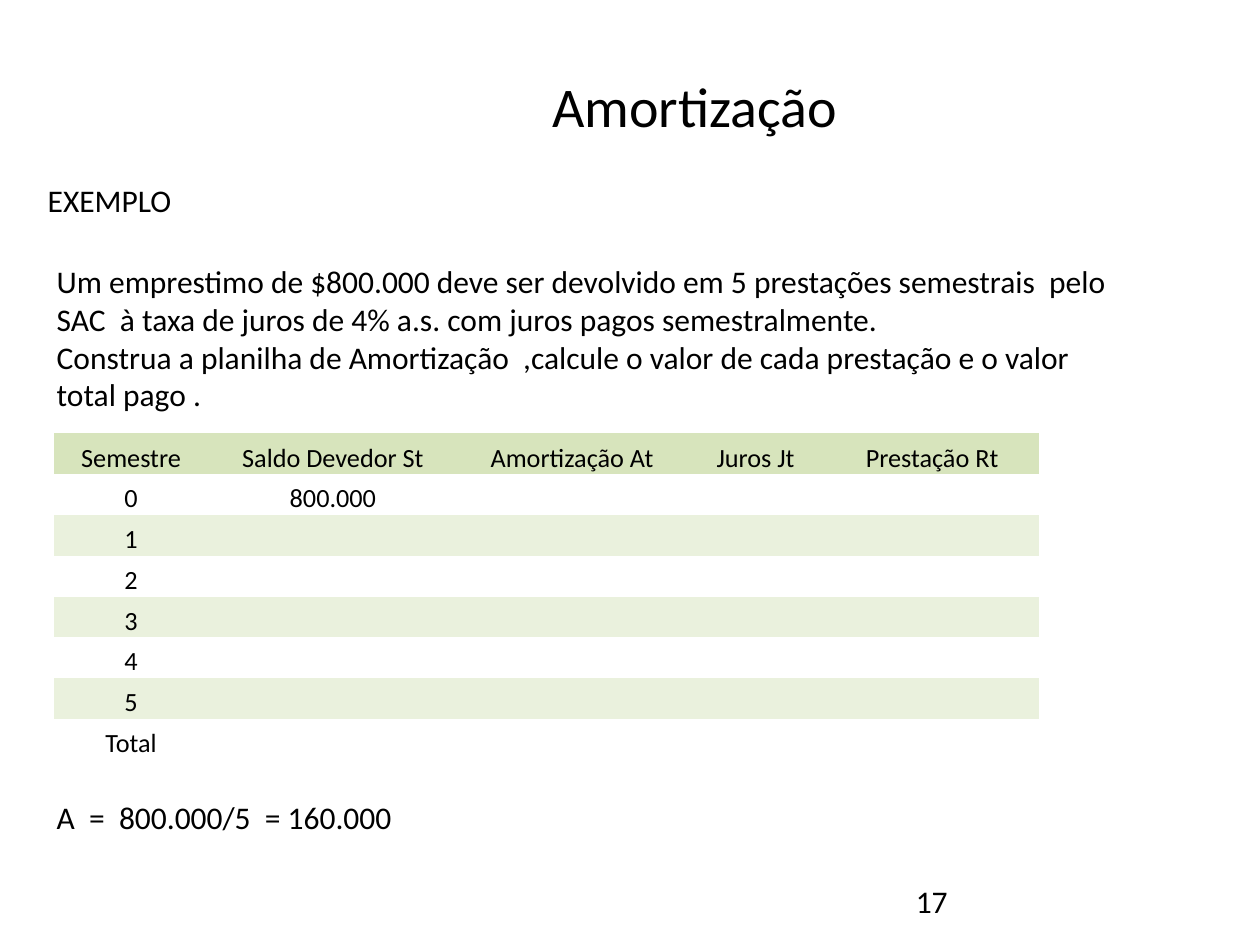
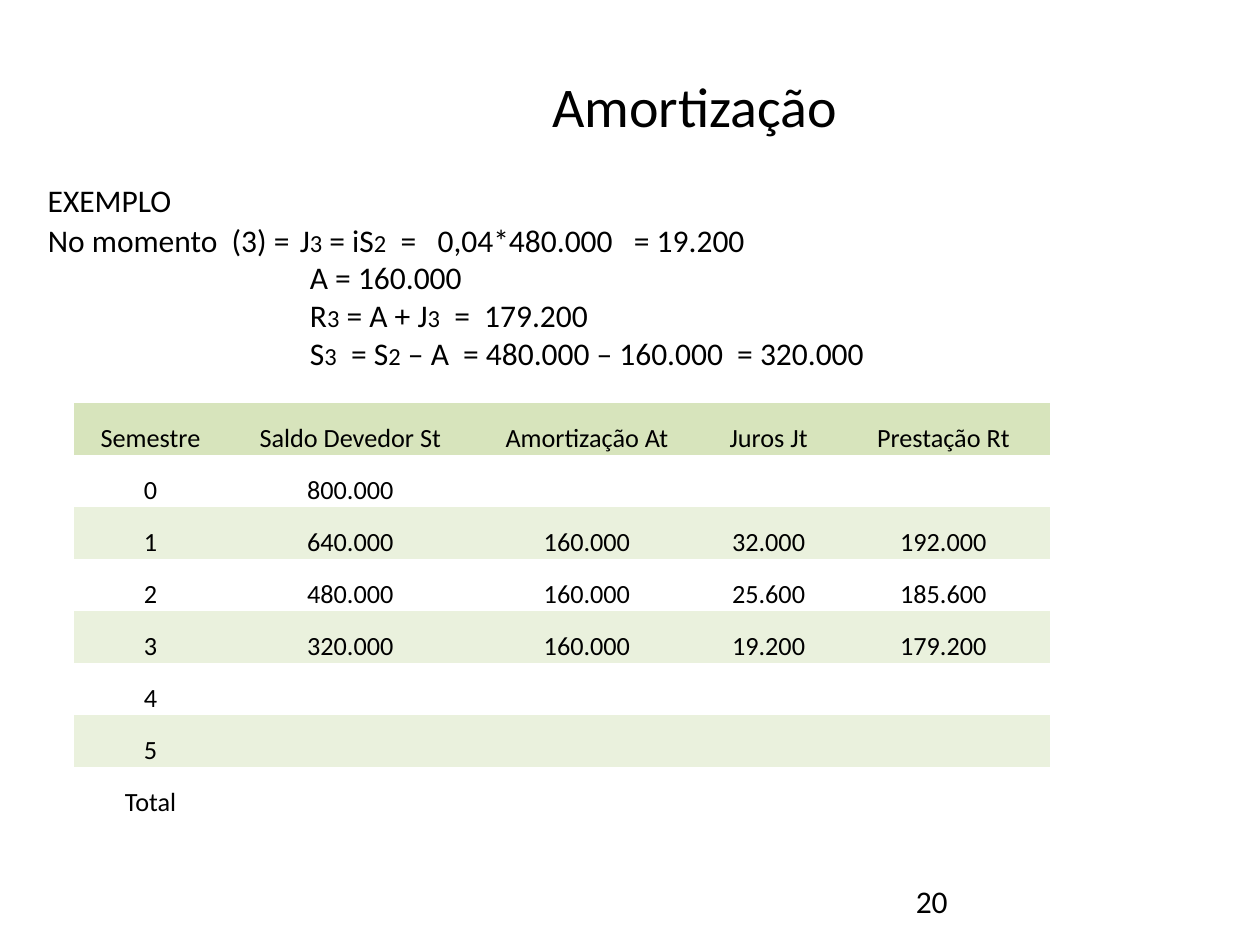
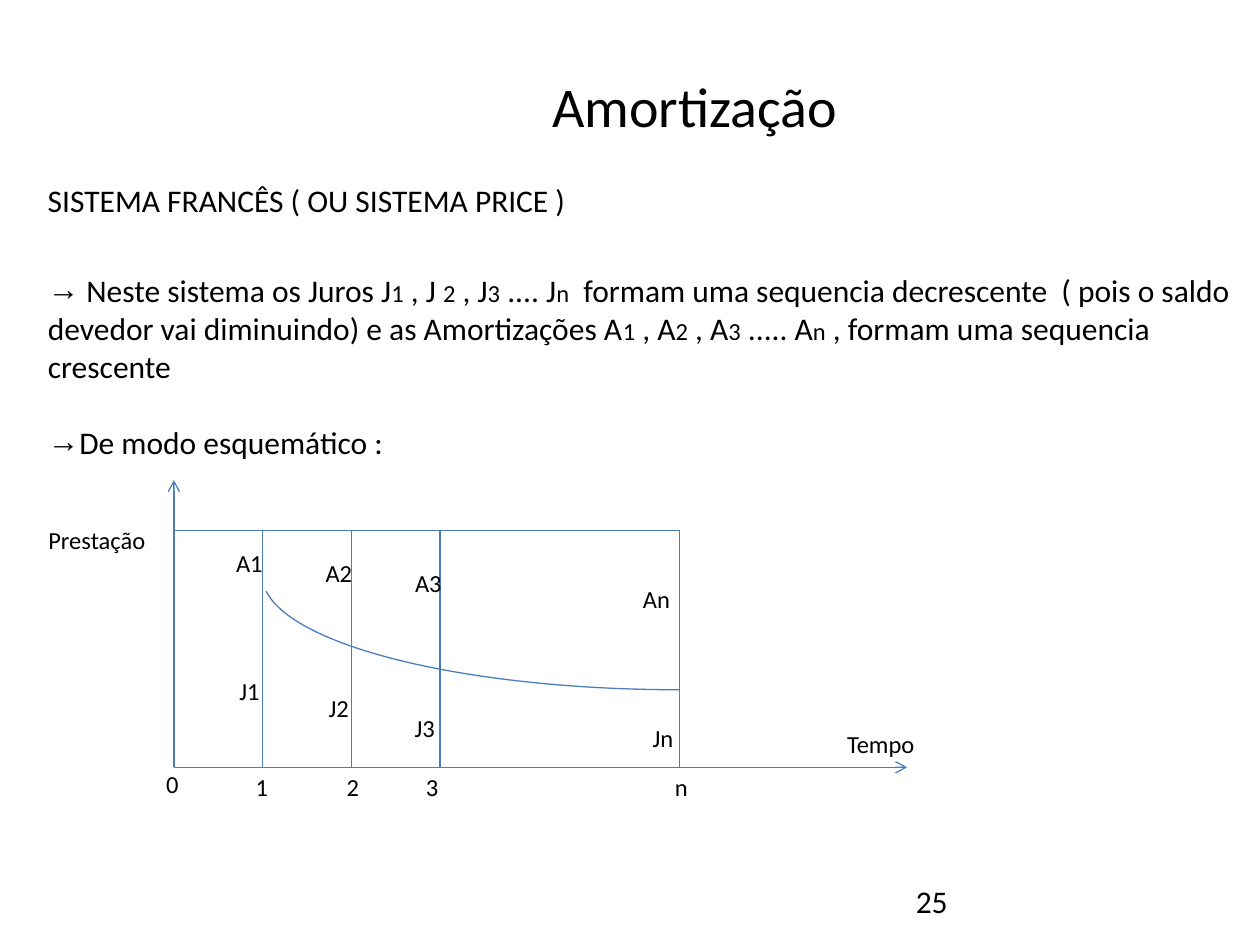
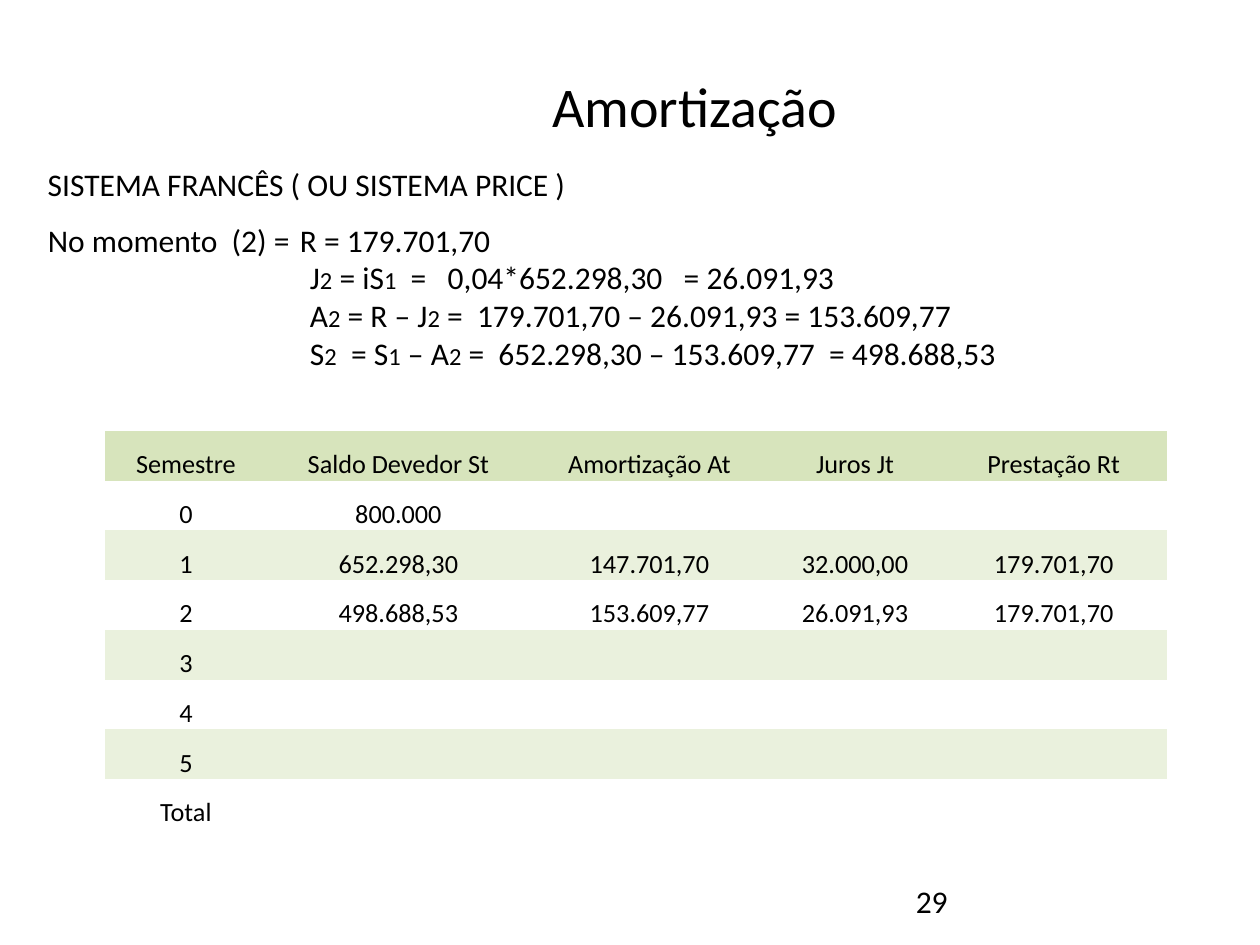
from dataclasses import dataclass

import pptx
import pptx.dml.color
import pptx.enum.shapes
import pptx.enum.text
import pptx.oxml.ns
import pptx.util
from lxml import etree

qn = pptx.oxml.ns.qn
PP_ALIGN = pptx.enum.text.PP_ALIGN
ANCHOR = pptx.enum.text.MSO_ANCHOR

COL = pptx.util.Inches(0.1)
ROW = pptx.util.Inches(0.1)


@dataclass(frozen=True)
class Theme:
    font: str = "Calibri"
    text: str = "000000"
    line: str = "4B7EBC"
    header: str = "D7E4BC"
    band: str = "EAF1DD"
    title_size: int = 32
    body_size: int = 18
    table_size: int = 15
    small_size: int = 14
    line_width: float = 0.75
    blank_line: int = 22


@dataclass(frozen=True)
class Box:
    col: float
    row: float
    cols: float
    rows: float

    def emu(self):
        return (round(self.col * COL), round(self.row * ROW),
                round(self.cols * COL), round(self.rows * ROW))

    def point(self, x, y):
        return (round((self.col + x * self.cols) * COL),
                round((self.row + y * self.rows) * ROW))


THEME = Theme()
TITLE_BOX = Box(9.1, 5.2, 92.1, 8.7)
HEADING_BOX = Box(2.8, 13.9, 96.1, 7.1)
HIGH_HEADING_BOX = Box(2.8, 12.6, 96.1, 13.1)
EQUATIONS_BOX = Box(2.8, 17, 96.1, 16.2)
NUMBER_BOX = Box(71.7, 69.5, 23.3, 4)
EQUATION_INDENT = round(20.8 * COL)

FRENCH = "SISTEMA FRANCÊS ( OU SISTEMA PRICE )"
HEADERS = ["Semestre", "Saldo Devedor St", "Amortização At", "Juros Jt", "Prestação Rt"]
SEMESTERS = ["0", "1", "2", "3", "4", "5", "Total"]
SAC_COLUMNS = [1.22, 1.98, 1.81, 1.1, 1.7]
PRICE_COLUMNS = [1.29, 2.08, 1.9, 1.36, 1.79]


def rgb(value):
    return pptx.dml.color.RGBColor.from_string(value)


def add_run(p, text, size):
    r = p.add_run()
    r.text = text
    r.font.name = THEME.font
    r.font.size = pptx.util.Pt(size)
    r.font.color.rgb = rgb(THEME.text)


def add_indexed_runs(p, text):
    first, *rest = text.split("_")
    add_run(p, first, THEME.body_size)
    for piece in rest:
        add_run(p, piece[0], THEME.small_size)
        if piece[1:]:
            add_run(p, piece[1:], THEME.body_size)


def place(sp, box):
    sp.left, sp.top, sp.width, sp.height = box.emu()
    tf = sp.text_frame
    tf.word_wrap = True
    tf.auto_size = pptx.enum.text.MSO_AUTO_SIZE.NONE
    tf.vertical_anchor = ANCHOR.TOP
    return tf


def add_text(shapes, box, text, size, align=PP_ALIGN.LEFT, wrap=True):
    sp = shapes.add_textbox(*box.emu())
    tf = place(sp, box)
    tf.word_wrap = wrap
    p = tf.paragraphs[0]
    p.alignment = align
    add_run(p, text, size)


def fill_body(slide, box, lines, gaps=None, bullet=None, indent=0):
    tf = place(slide.placeholders[1], box)
    for i, line in enumerate(lines):
        p = tf.paragraphs[0] if i == 0 else tf.add_paragraph()
        pPr = p._p.get_or_add_pPr()
        pPr.set("marL", str(indent if i else 0))
        pPr.set("indent", "0")
        if bullet:
            etree.SubElement(pPr, qn("a:buChar"), char=bullet)
        else:
            etree.SubElement(pPr, qn("a:buNone"))
        if indent and i == 0:
            tabs = etree.SubElement(pPr, qn("a:tabLst"))
            etree.SubElement(tabs, qn("a:tab"), pos=str(indent), algn="l")
        p.space_before = pptx.util.Pt((gaps or {}).get(i, 0) * THEME.blank_line)
        add_indexed_runs(p, line)


def start_slide(prs, number, heading, heading_box=HEADING_BOX):
    slide = prs.slides.add_slide(prs.slide_layouts[1])
    tf = place(slide.shapes.title, TITLE_BOX)
    p = tf.paragraphs[0]
    p.alignment = PP_ALIGN.CENTER
    add_run(p, "Amortização", THEME.title_size)
    add_text(slide.shapes, heading_box, heading, THEME.body_size)
    add_text(slide.shapes, NUMBER_BOX, str(number), THEME.body_size)
    return slide


def fill_cell(cell, text, color):
    cell.margin_left = cell.margin_right = cell.margin_top = pptx.util.Inches(0.01)
    cell.margin_bottom = 0
    cell.vertical_anchor = ANCHOR.BOTTOM
    if color:
        cell.fill.solid()
        cell.fill.fore_color.rgb = rgb(color)
    else:
        cell.fill.background()
    p = cell.text_frame.paragraphs[0]
    p.alignment = PP_ALIGN.CENTER
    if text:
        add_run(p, text, THEME.table_size)
    else:
        etree.SubElement(p._p, qn("a:endParaRPr"), sz=str(THEME.table_size * 100))


def add_schedule(slide, box, columns, values):
    rows = [HEADERS]
    for i, semester in enumerate(SEMESTERS):
        row = [semester] + (values[i] if i < len(values) else [])
        rows.append(row + [""] * (len(HEADERS) - len(row)))
    table = slide.shapes.add_table(len(rows), len(HEADERS), *box.emu()).table
    table.first_row = table.horz_banding = False
    style = table._tbl.tblPr.find(qn("a:tableStyleId"))
    style.text = "{2D5ABB26-0587-4C30-8999-92F81FD0307C}"
    for column, share in zip(table.columns, columns):
        column.width = round(box.cols * COL * share / sum(columns))
    for i, row in enumerate(rows):
        table.rows[i].height = round(box.rows * ROW / len(rows))
        color = THEME.header if i == 0 else THEME.band if i % 2 == 0 else None
        for j, text in enumerate(row):
            fill_cell(table.cell(i, j), text, color)


def style_line(line):
    line.color.rgb = rgb(THEME.line)
    line.width = pptx.util.Pt(THEME.line_width)


def add_line(shapes, start, end, arrow=False):
    cxn = shapes.add_connector(pptx.enum.shapes.MSO_CONNECTOR.STRAIGHT, *start, *end)
    style_line(cxn.line)
    if arrow:
        etree.SubElement(cxn.line._get_or_add_ln(), qn("a:tailEnd"), type="arrow")
    etree.SubElement(cxn._element.spPr, qn("a:effectLst"))


def add_payment_diagram(slide, box):
    top, last, first = 0.175, 0.69, 0.121
    periods = [first, 2 * first, 3 * first, last]
    labels = [
        ("Prestação", -0.105, 0.21, 9.8), ("Tempo", 0.964, 0.92, 7.4),
        ("A1", 0.103, 0.288, 4.2), ("A2", 0.225, 0.323, 4.2),
        ("A3", 0.347, 0.358, 4.2), ("An", 0.658, 0.415, 4.2),
        ("J1", 0.103, 0.734, 3.6), ("J2", 0.225, 0.795, 3.6),
        ("J3", 0.342, 0.865, 3.6), ("Jn", 0.667, 0.9, 3.7),
        ("0", -0.002, 1.06, 3), ("1", 0.12, 1.07, 3), ("2", 0.244, 1.07, 3),
        ("3", 0.352, 1.07, 3), ("n", 0.692, 1.07, 3.1),
    ]
    shapes = slide.shapes.add_group_shape().shapes
    add_line(shapes, box.point(0, 1), box.point(0, 0), arrow=True)
    add_line(shapes, box.point(0, 1), box.point(1, 1), arrow=True)
    add_line(shapes, box.point(0, top), box.point(last, top))
    for x in periods:
        add_line(shapes, box.point(x, top), box.point(x, 1))
    height = 3.4
    for text, x, y, width in labels:
        label_box = Box(box.col + x * box.cols - width / 2,
                        box.row + y * box.rows - height / 2, width, height)
        add_text(shapes, label_box, text, THEME.small_size, PP_ALIGN.CENTER, wrap=False)

    left, upper = box.point(first, -0.06)
    right, lower = box.point(2 * last - first, 0.73)
    arc = slide.shapes.add_shape(pptx.enum.shapes.MSO_SHAPE.ARC,
                                 left, upper, right - left, lower - upper)
    arc.adjustments[0] = 162
    arc.adjustments[1] = 214.77
    arc.rotation = 180
    arc.shadow.inherit = False
    arc.fill.background()
    style_line(arc.line)


def build_problem(prs):
    slide = start_slide(prs, 17, "EXEMPLO")
    fill_body(slide, Box(3.5, 20.3, 87.4, 55.5), [
        "Um emprestimo de $800.000 deve ser devolvido em 5 prestações semestrais  pelo "
        "SAC  à taxa de juros de 4% a.s. com juros pagos semestralmente.",
        "Construa a planilha de Amortização  ,calcule o valor de cada prestação e o valor "
        "total pago .",
        "A  =  800.000/5  = 160.000",
    ], gaps={2: 10})
    add_schedule(slide, Box(4.3, 34.4, 78.2, 25.9), SAC_COLUMNS, [["800.000"]])


def build_third_payment(prs):
    slide = start_slide(prs, 20, "EXEMPLO")
    fill_body(slide, EQUATIONS_BOX, [
        "No momento  (3) =\tJ_3 = iS_2  =   0,04*480.000   = 19.200",
        "A = 160.000",
        "R_3 = A + J_3  =  179.200",
        "S_3  = S_2 – A  = 480.000 – 160.000  = 320.000",
    ], indent=EQUATION_INDENT)
    add_schedule(slide, Box(5.9, 32, 77.4, 33), SAC_COLUMNS, [
        ["800.000"],
        ["640.000", "160.000", "32.000", "192.000"],
        ["480.000", "160.000", "25.600", "185.600"],
        ["320.000", "160.000", "19.200", "179.200"],
    ])


def build_french_system(prs):
    slide = start_slide(prs, 25, FRENCH)
    fill_body(slide, Box(2.8, 21, 96.1, 34.3), [
        " Neste sistema os Juros J_1 , J _2 , J_3 .... J_n  formam uma sequencia "
        "decrescente  ( pois o saldo devedor vai diminuindo) e as Amortizações "
        "A_1 , A_2 , A_3 ..... A_n , formam uma sequencia crescente",
        "De modo esquemático :",
    ], gaps={1: 1}, bullet="→")
    add_payment_diagram(slide, Box(13.8, 38.1, 58.2, 22.8))


def build_second_payment(prs):
    slide = start_slide(prs, 29, FRENCH, HIGH_HEADING_BOX)
    fill_body(slide, EQUATIONS_BOX, [
        "No momento  (2) =\tR = 179.701,70",
        "J_2 = iS_1  =   0,04*652.298,30   = 26.091,93",
        "A_2 = R – J_2 =  179.701,70 – 26.091,93 = 153.609,77",
        "S_2  = S_1 – A_2 =  652.298,30 – 153.609,77  = 498.688,53",
    ], indent=EQUATION_INDENT)
    add_schedule(slide, Box(8.3, 34.2, 84.3, 31.6), PRICE_COLUMNS, [
        ["800.000"],
        ["652.298,30", "147.701,70", "32.000,00", "179.701,70"],
        ["498.688,53", "153.609,77", "26.091,93", "179.701,70"],
    ])


def main():
    prs = pptx.Presentation()
    prs.slide_width = 100 * COL
    prs.slide_height = 75 * ROW
    build_problem(prs)
    build_third_payment(prs)
    build_french_system(prs)
    build_second_payment(prs)
    prs.save("out.pptx")


if __name__ == "__main__":
    main()
